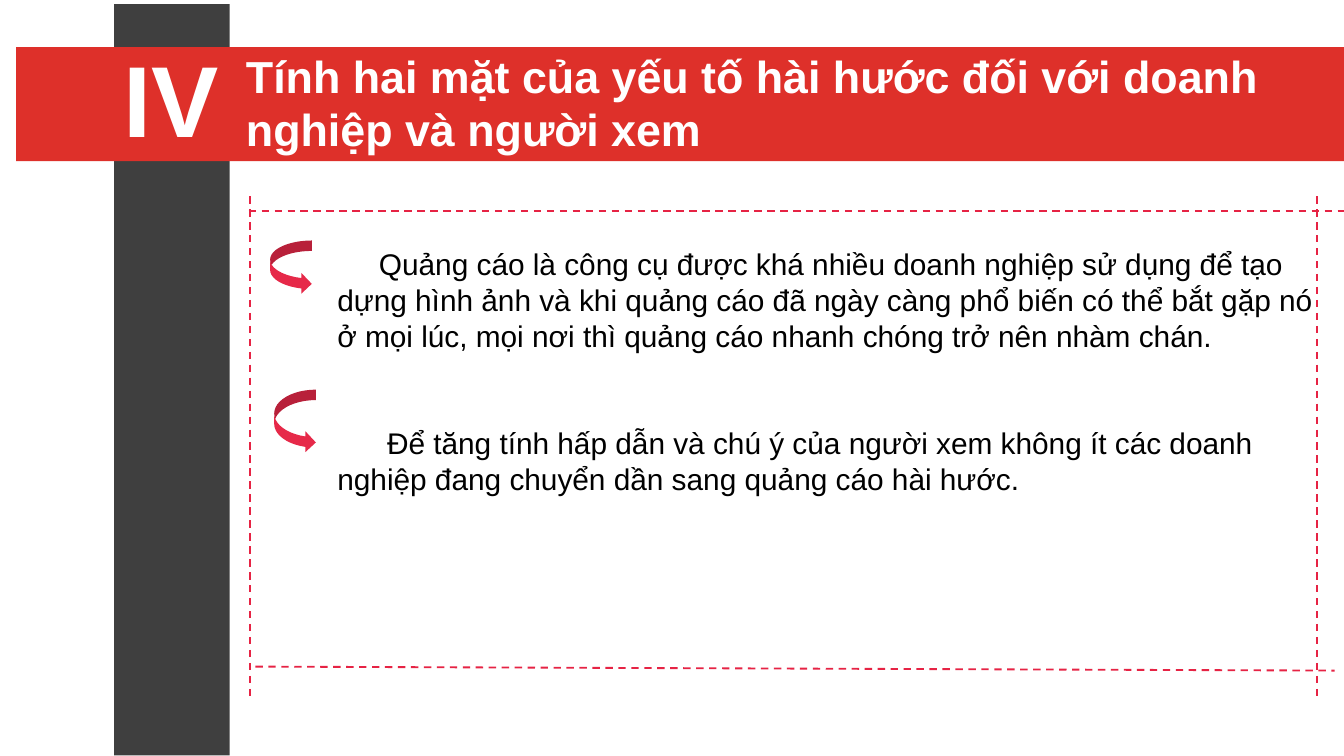
from pptx import Presentation
from pptx.dml.color import RGBColor
from pptx.enum.dml import MSO_LINE
from pptx.enum.shapes import MSO_CONNECTOR, MSO_SHAPE
from pptx.enum.text import MSO_ANCHOR, MSO_AUTO_SIZE, PP_ALIGN
from pptx.oxml.ns import qn
from pptx.util import Inches, Pt

COLORS = {"dark": "3F3F3F", "band": "DE302A", "dash": "E62344",
          "arrow": "E62949", "white": "FFFFFF", "black": "000000"}

NUMERAL = "IV"
TITLE = "Tính hai mặt của yếu tố hài hước đối với doanh nghiệp và người xem"
POINTS = [
    {"text": "Quảng cáo là công cụ được khá nhiều doanh nghiệp sử dụng để tạo dựng hình ảnh "
             "và khi quảng cáo đã ngày càng phổ biến có thể bắt gặp nó ở mọi lúc, mọi nơi "
             "thì quảng cáo nhanh chóng trở nên nhàm chán.",
     "indent": 0.31, "before": 0, "arrow": (2.01, 1.79, 0.31, 0.4)},
    {"text": "Để tăng tính hấp dẫn và chú ý của người xem không ít các doanh nghiệp "
             "đang chuyển dần sang quảng cáo hài hước.",
     "indent": 0.37, "before": 38, "arrow": (2.04, 2.9, 0.31, 0.47)},
]
BARS = [("dark", (0.85, 0.03, 0.86, 5.59)), ("band", (0.12, 0.35, 9.88, 0.85))]
FRAME_LINES = [(1.85, 1.57, 10, 1.57), (9.8, 1.46, 9.8, 5.2),
               (1.86, 1.46, 1.86, 5.2), (1.9, 4.96, 9.93, 4.99)]


def color(name):
    return RGBColor.from_string(COLORS[name])


def add_filled(slide, kind, box, fill):
    shape = slide.shapes.add_shape(kind, *map(Inches, box))
    shape.shadow.inherit = False
    shape.fill.solid()
    shape.fill.fore_color.rgb = color(fill)
    shape.line.fill.background()


def add_dashed(slide, ends):
    line = slide.shapes.add_connector(MSO_CONNECTOR.STRAIGHT, *map(Inches, ends))
    line.line.color.rgb = color("dash")
    line.line.width = Pt(1)
    line.line.dash_style = MSO_LINE.DASH
    properties = line.element.spPr
    properties.append(properties.makeelement(qn("a:effectLst"), {}))


def place_text(shape, box, anchor=MSO_ANCHOR.TOP):
    shape.left, shape.top, shape.width, shape.height = map(Inches, box)
    frame = shape.text_frame
    frame.word_wrap = True
    frame.auto_size = MSO_AUTO_SIZE.NONE
    frame.vertical_anchor = anchor
    return frame


def style(paragraph, size, ink, bold=False, alignment=PP_ALIGN.LEFT, before=0):
    paragraph.alignment = alignment
    paragraph.space_before = Pt(before)
    font = paragraph.font
    font.name, font.size, font.bold = "Arial", Pt(size), bold
    font.color.rgb = color(ink)


def fill_points(frame):
    for index, point in enumerate(POINTS):
        paragraph = frame.add_paragraph() if index else frame.paragraphs[0]
        paragraph.text = point["text"]
        properties = paragraph._p.get_or_add_pPr()
        properties.set("marL", "0")
        properties.set("indent", str(Inches(point["indent"])))
        properties.append(properties.makeelement(qn("a:buNone"), {}))
        style(paragraph, 16, "black", before=point["before"])


def main():
    """Build the slide on the two sides of humour in advertising."""
    presentation = Presentation()
    presentation.slide_width = Inches(10)
    presentation.slide_height = presentation.slide_width * 9 // 16
    slide = presentation.slides.add_slide(presentation.slide_layouts[1])
    title, body = slide.placeholders

    for fill, box in BARS:
        add_filled(slide, MSO_SHAPE.RECTANGLE, box, fill)
    for ends in FRAME_LINES:
        add_dashed(slide, ends)
    for point in POINTS:
        add_filled(slide, MSO_SHAPE.CURVED_RIGHT_ARROW, point["arrow"], "arrow")

    for placeholder in (title, body):
        placeholder.element.getparent().append(placeholder.element)
    frame = place_text(title, (1.73, 0.31, 8.27, 1.03))
    frame.text = TITLE
    style(frame.paragraphs[0], 24, "white", bold=True)
    fill_points(place_text(body, (2.41, 1.78, 7.52, 2.26)))

    numeral = slide.shapes.add_textbox(0, 0, 0, 0)
    frame = place_text(numeral, (0.7, 0.24, 1.15, 0.96), MSO_ANCHOR.MIDDLE)
    frame.text = NUMERAL
    style(frame.paragraphs[0], 54, "white", bold=True, alignment=PP_ALIGN.CENTER)

    presentation.save("out.pptx")


if __name__ == "__main__":
    main()
